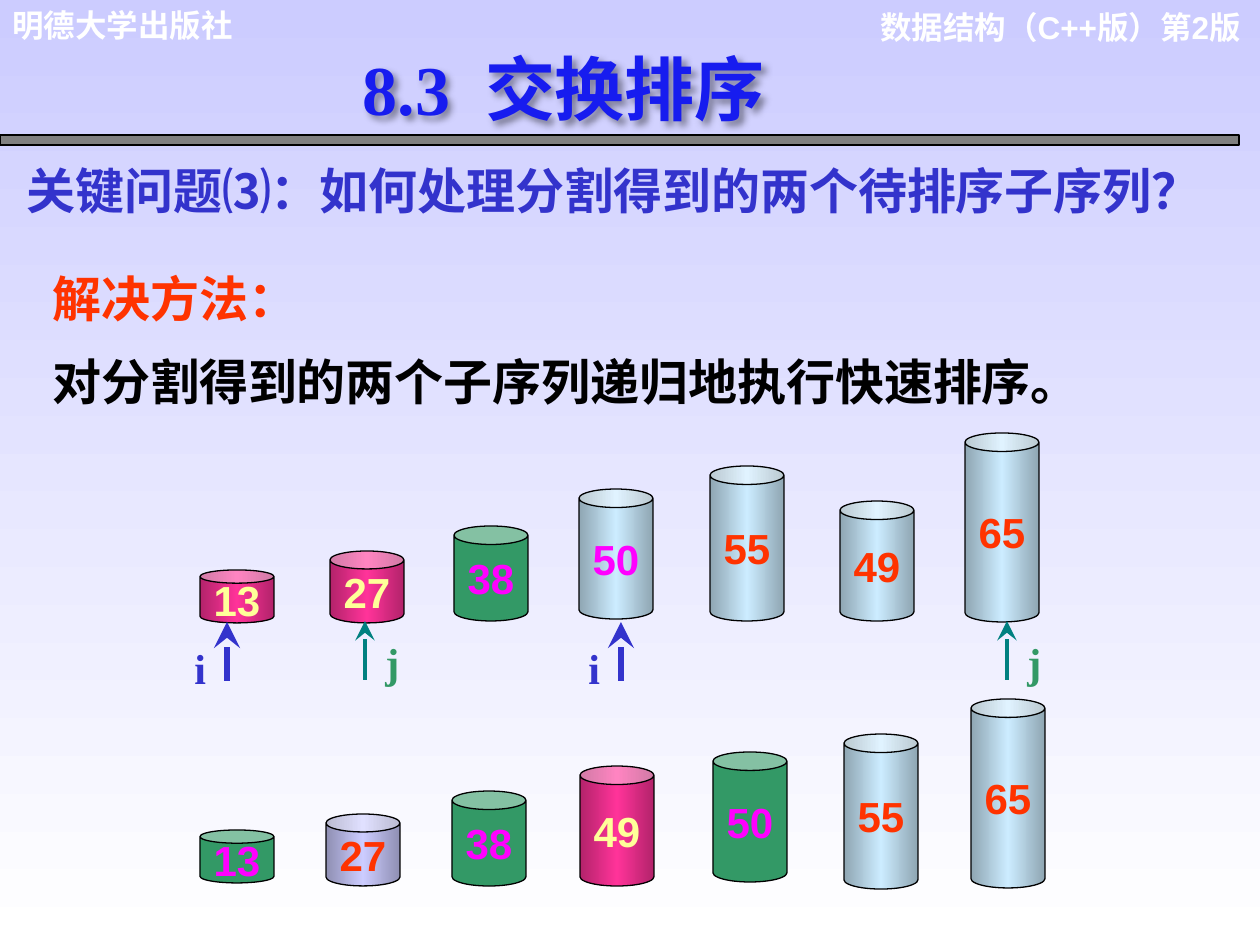
from copy import deepcopy

from lxml import etree
from pptx import Presentation, util as u
from pptx.dml.color import RGBColor
from pptx.enum import shapes, text
from pptx.oxml.ns import qn

PX = 914400 / 126  # EMU in one px
LEFT, CENTER, RIGHT = text.PP_ALIGN.LEFT, text.PP_ALIGN.CENTER, text.PP_ALIGN.RIGHT
SANS, SERIF = "Arial", "Times New Roman"
BLUE, RED, GREEN, TEAL = "3333CC", "FF3300", "339966", "008080"
MAGENTA, YELLOW, BLACK, WHITE = "FF00FF", "FFFF99", "000000", "FFFFFF"

# Fills: a single colour, or edge, middle and edge of a gradient
PLAIN = [GREEN]
PINK = ["B3236B", "FF3399", "B3236B"]
SKY = ["8FA6B3", "CCECFF", "8FA6B3"]
LILAC = ["8F8FB3", "CCCCFF", "8F8FB3"]

TITLE = ("8.3", " ", "交换排序")
TITLE_BOX = (350, 39, 497, 97)

# box, alignment, size, [(text, colour, space before)]
TEXTS = [
    ((853, 2, 400, 50), RIGHT, 18, [("数据结构（C++版）第2版", WHITE, 0)]),
    ((0, 0, 341, 50), LEFT, 18, [("明德大学出版社", WHITE, 0)]),
    ((40, 262, 1172, 160), LEFT, 28, [
        ("解决方法：", RED, 0),
        ("对分割得到的两个子序列递归地执行快速排序。", BLACK, 14)]),
    ((14, 154, 1211, 72), LEFT, 28,
     [("关键问题⑶：如何处理分割得到的两个待排序子序列？", BLUE, 0)]),
]

CAN_WIDTH = 74
CAN_HEIGHTS = {13: 53, 27: 72, 38: 95, 49: 120, 50: 130, 55: 155, 65: 189}
# value, left, top, fill, text colour
CANS = [
    (13, 200, 570, PINK, YELLOW),
    (27, 330, 551, PINK, YELLOW),
    (38, 454, 526, PLAIN, MAGENTA),
    (50, 579, 489, SKY, MAGENTA),
    (55, 710, 466, SKY, RED),
    (49, 840, 501, SKY, RED),
    (65, 965, 433, SKY, RED),
    (13, 200, 830, PLAIN, MAGENTA),
    (27, 326, 814, LILAC, RED),
    (38, 452, 791, PLAIN, MAGENTA),
    (49, 580, 766, PINK, YELLOW),
    (50, 713, 752, PLAIN, MAGENTA),
    (55, 844, 734, SKY, RED),
    (65, 971, 699, SKY, RED),
]

# name -> label offset from the arrow, label top, label colour, arrow top, colour, width
POINTERS = {
    "i": (-45, 636, BLUE, 622, BLUE, 3),
    "j": (8, 630, GREEN, 621, TEAL, 2.25),
}
POINTER_SHAFT = 59
MARKS = [("i", 227), ("j", 365), ("i", 621), ("j", 1007)]


def px(*lengths):
    return [u.Emu(round(length * PX)) for length in lengths]


def colour(hex_string):
    return RGBColor.from_string(hex_string)


def paint(fill, colours, angle=0):
    """Fill with one colour, or with evenly spaced gradient stops."""
    if len(colours) == 1:
        fill.solid()
        fill.fore_color.rgb = colour(colours[0])
        return
    fill.gradient()
    fill.gradient_angle = angle
    first = fill.gradient_stops[0]._gs
    for _ in colours[2:]:
        first.addnext(deepcopy(first))
    for index, (stop, value) in enumerate(zip(fill.gradient_stops, colours)):
        stop.position = index / (len(colours) - 1)
        stop.color.rgb = colour(value)


def style(paragraph, size, value, font=SANS, align=LEFT):
    paragraph.alignment = align
    paragraph.font.size = u.Pt(size)
    paragraph.font.bold = True
    paragraph.font.name = font
    paragraph.font.color.rgb = colour(value)


def add_text(slide, box, align, size, lines, font=SANS):
    frame = slide.shapes.add_textbox(*px(*box)).text_frame
    frame.word_wrap = True
    for index, (line, value, before) in enumerate(lines):
        paragraph = frame.add_paragraph() if index else frame.paragraphs[0]
        paragraph.text = line
        paragraph.space_before = u.Pt(before)
        style(paragraph, size, value, font, align)


def add_outlined(slide, preset, box, colours):
    shape = slide.shapes.add_shape(preset, *px(*box))
    shape.shadow.inherit = False
    paint(shape.fill, colours)
    shape.line.color.rgb = colour(BLACK)
    shape.line.width = u.Pt(0.75)
    return shape


def add_can(slide, value, left, top, colours, text_colour):
    box = (left, top, CAN_WIDTH, CAN_HEIGHTS[value])
    can = add_outlined(slide, shapes.MSO_SHAPE.CAN, box, colours)
    can.adjustments[0] = 0.25
    frame = can.text_frame
    frame.vertical_anchor = text.MSO_ANCHOR.MIDDLE
    frame.text = str(value)
    style(frame.paragraphs[0], 24, text_colour, align=CENTER)


def add_pointer(slide, name, x):
    offset, label_top, label_colour, top, line_colour, width = POINTERS[name]
    arrow = slide.shapes.add_connector(
        shapes.MSO_CONNECTOR.STRAIGHT, *px(x, top + POINTER_SHAFT, x, top))
    arrow.line.color.rgb = colour(line_colour)
    arrow.line.width = u.Pt(width)
    etree.SubElement(arrow.line._get_or_add_ln(), qn("a:tailEnd"),
                     type="stealth", w="lg", len="lg")
    etree.SubElement(arrow._element.spPr, qn("a:effectLst"))
    add_text(slide, (x + offset, label_top, 32, 63), LEFT, 24,
             [(name, label_colour, 0)], SERIF)


def set_title(title):
    title.left, title.top, title.width, title.height = px(*TITLE_BOX)
    frame = title.text_frame
    frame.auto_size = text.MSO_AUTO_SIZE.NONE
    frame.vertical_anchor = text.MSO_ANCHOR.TOP
    paragraph = frame.paragraphs[0]
    runs = [paragraph.add_run() for _ in TITLE]
    for run, words in zip(runs, TITLE):
        run.text = words
    runs[1]._r.get_or_add_rPr().set("spc", "1000")  # widens the gap
    style(paragraph, 40, "171CEF", SERIF)
    effects = etree.SubElement(title._element.spPr, qn("a:effectLst"))
    shadow = etree.SubElement(effects, qn("a:outerShdw"), blurRad="50800",
                              dist="38100", dir="2700000")
    shade = etree.SubElement(shadow, qn("a:srgbClr"), val=BLACK)
    etree.SubElement(shade, qn("a:alpha"), val="40000")


def main():
    presentation = Presentation()
    presentation.slide_width, presentation.slide_height = px(1260, 945)
    slide = presentation.slides.add_slide(presentation.slide_layouts[5])
    paint(slide.background.fill, ["CCCCFF", WHITE], angle=270)
    set_title(slide.shapes.title)
    add_outlined(slide, shapes.MSO_SHAPE.RECTANGLE, (0, 135, 1239, 10), ["808080"])
    for item in TEXTS:
        add_text(slide, *item)
    for can in CANS:
        add_can(slide, *can)
    for mark in MARKS:
        add_pointer(slide, *mark)
    presentation.save("out.pptx")


if __name__ == "__main__":
    main()
